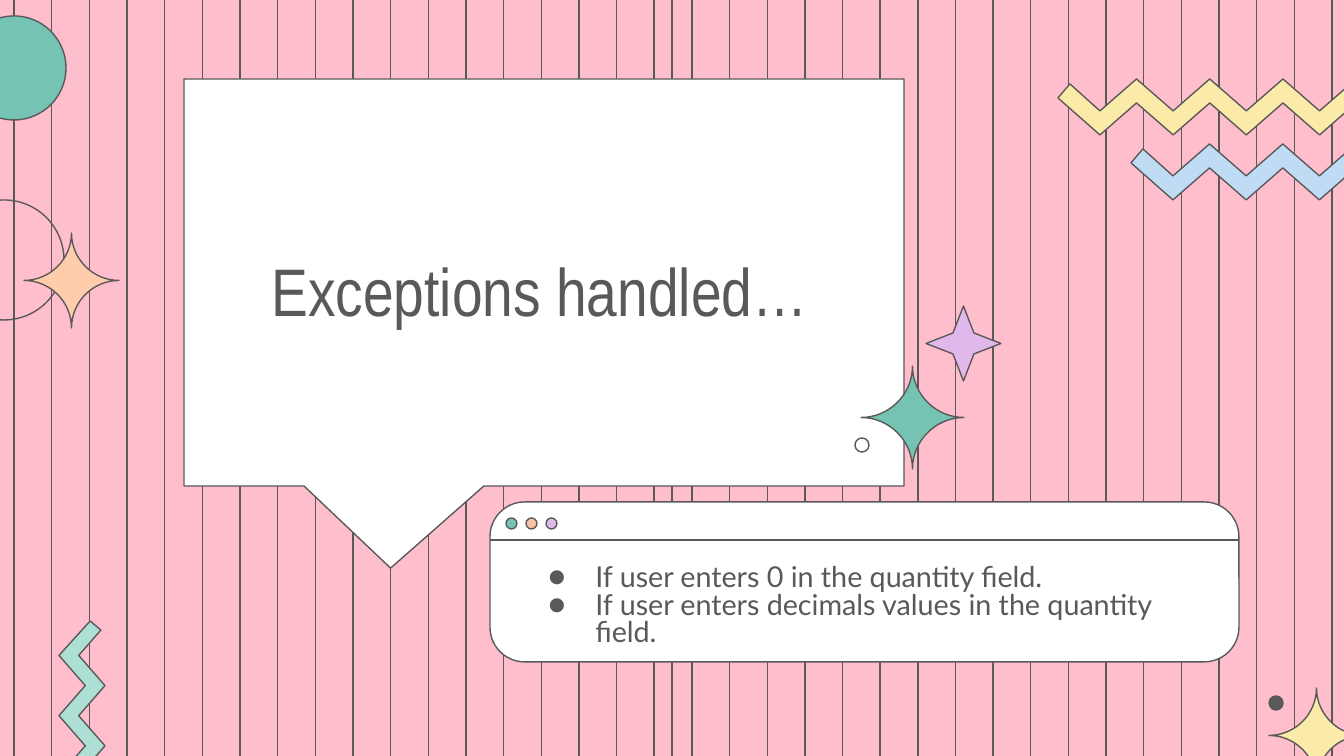
from dataclasses import dataclass

from lxml import etree
from pptx import Presentation
from pptx import util as u
from pptx.dml.color import RGBColor
from pptx.enum import shapes, text
from pptx.oxml.ns import qn

PX = 9144000 / 1344
WIDTH, HEIGHT = 1344, 756
KIND = shapes.MSO_SHAPE


@dataclass(frozen=True)
class Theme:
    """Colours, fonts and type sizes of the deck."""
    pink: str = "FFBECB"
    ink: str = "595959"
    white: str = "FFFFFF"
    teal: str = "74C3B3"
    mint: str = "ADDFD5"
    peach: str = "FFCDAB"
    apricot: str = "F6C4A2"
    yellow: str = "FAEBA8"
    blue: str = "C0DCF5"
    lilac: str = "E1B8EC"
    title_font: str = "Arial Narrow"
    body_font: str = "Lato"
    title_size: float = 36
    body_size: float = 15.4
    outline: float = 0.75


THEME = Theme()


def emu(length):
    """Turn px into EMU."""
    return u.Emu(round(length * PX))


def paint(shape, fill=None):
    """Give a shape its fill, outline and no shadow."""
    shape.shadow.inherit = False
    if fill:
        shape.fill.solid()
        shape.fill.fore_color.rgb = RGBColor.from_string(fill)
    else:
        shape.fill.background()
    shape.line.color.rgb = RGBColor.from_string(THEME.ink)
    shape.line.width = u.Pt(THEME.outline)
    return shape


def add_preset(parent, kind, box, fill=None, adjustments=()):
    """Add a painted preset shape in the box."""
    shape = parent.add_shape(kind, *map(emu, box))
    for index, value in enumerate(adjustments):
        shape.adjustments[index] = value
    return paint(shape, fill)


def add_line(parent, x1, y1, x2, y2):
    """Add a thin straight line."""
    line = parent.add_connector(shapes.MSO_CONNECTOR.STRAIGHT, *map(emu, (x1, y1, x2, y2)))
    line.line.color.rgb = RGBColor.from_string(THEME.ink)
    line.line.width = u.Pt(THEME.outline)
    etree.SubElement(line._element.spPr, qn("a:effectLst"))


def add_outline(parent, points, fill):
    """Add a closed freeform through the points."""
    corners = [(emu(x), emu(y)) for x, y in points]
    builder = parent.build_freeform(*corners[0], scale=1.0)
    builder.add_line_segments(corners[1:], close=True)
    return paint(builder.convert_to_shape(), fill)


def add_zigzag(parent, box, fill, rotation=0):
    """Add a zigzag ribbon of four waves that fills the box."""
    left, top, width, height = box
    turns = [(42 + 36.6 * step, 32 * (step % 2 == 0)) for step in range(8)]
    upper = [(12, 5), *turns, (340, 38)]
    lower = [(0, 19), *((x, y + 24) for x, y in turns), (329, 51)]
    points = [(left + x * width / 340, top + y * height / 56)
              for x, y in upper + lower[::-1]]
    add_outline(parent, points, fill).rotation = rotation


def add_sparkle(parent, left, top, size, fill):
    """Add a four-pointed star with sides curved towards its centre."""
    half = size / 2
    tips = [(left + half, top), (left, top + half),
            (left + half, top + size), (left + size, top + half)]
    shape = add_outline(parent, tips + tips[:1], fill)
    local = [(half, 0), (0, half), (half, size), (size, half), (half, 0)]
    sides = list(shape._element.iter(qn("a:lnTo")))
    for side, start, end in zip(sides, local, local[1:]):
        curve = etree.Element(qn("a:cubicBezTo"))
        pulls = [tuple(c + 0.55 * (half - c) for c in tip) for tip in (start, end)]
        for x, y in (*pulls, end):
            etree.SubElement(curve, qn("a:pt"), x=str(emu(x)), y=str(emu(y)))
        side.getparent().replace(side, curve)


def format_frame(frame, anchor):
    """Set the wrap, anchor and insets of a text frame."""
    formats = {"word_wrap": True, "auto_size": text.MSO_AUTO_SIZE.NONE,
               "vertical_anchor": anchor}
    formats.update({f"margin_{side}": u.Inches(0.1)
                    for side in ("left", "right", "top", "bottom")})
    for name, value in formats.items():
        setattr(frame, name, value)


def add_span(para, words, font, size):
    """Add a run of words in the ink colour."""
    span = para.add_run()
    span.text = words
    for name, value in {"name": font, "size": u.Pt(size), "bold": False}.items():
        setattr(span.font, name, value)
    span.font.color.rgb = RGBColor.from_string(THEME.ink)


def draw_backdrop(page):
    """Draw the striped background."""
    page.background.fill.solid()
    page.background.fill.fore_color.rgb = RGBColor.from_string(THEME.pink)
    stripes = page.shapes.add_group_shape().shapes
    for x in [14 + 37.66 * step for step in range(36)] + [WIDTH / 2]:
        add_line(stripes, x, 0, x, HEIGHT)


def draw_edge_ornaments(page):
    """Draw the ornaments along the left and bottom edges."""
    parent = page.shapes
    add_zigzag(parent, (-58, 738, 280, 46), THEME.mint, 270)
    add_preset(parent, KIND.OVAL, (-56, 200, 120, 120))
    add_preset(parent, KIND.OVAL, (-38, 16, 104, 104), THEME.teal)
    add_sparkle(parent, 24, 233, 95, THEME.peach)
    add_preset(parent, KIND.OVAL, (1269, 696, 14, 14), THEME.ink)
    add_sparkle(parent, 1269, 688, 95, THEME.yellow)


def draw_callout(page, box, title):
    """Draw the speech bubble that holds the title."""
    left, top, width, height = box
    add_preset(page.shapes, KIND.ROUNDED_RECTANGULAR_CALLOUT, box, THEME.white,
               (-0.213, 0.702, 0))
    holder = page.shapes.title
    place = (left + 54, top + 74, width - 117, height - 133)
    for name, value in zip(("left", "top", "width", "height"), place):
        setattr(holder, name, emu(value))
    format_frame(holder.text_frame, text.MSO_ANCHOR.MIDDLE)
    para = holder.text_frame.paragraphs[0]
    para.alignment = text.PP_ALIGN.CENTER
    add_span(para, title, THEME.title_font, THEME.title_size)
    holder._element.getparent().append(holder._element)


def draw_window(page, box, items):
    """Draw the window card with its bulleted list."""
    left, top, width, height = box
    card = page.shapes.add_group_shape().shapes
    add_preset(card, KIND.ROUNDED_RECTANGLE, box, THEME.white, (0.217,))
    add_line(card, left + width, top + 38, left, top + 38)
    for index, fill in enumerate((THEME.teal, THEME.apricot, THEME.lilac)):
        add_preset(card, KIND.OVAL, (left + 16 + 20 * index, top + 16, 11, 11), fill)
    place = (left + 25, top + 50, width - 55, height - 65)
    frame = page.shapes.add_textbox(*map(emu, place)).text_frame
    format_frame(frame, text.MSO_ANCHOR.TOP)
    for index, item in enumerate(items):
        para = frame.add_paragraph() if index else frame.paragraphs[0]
        para.line_spacing = 0.8
        layout = para._p.get_or_add_pPr()
        layout.set("marL", str(u.Inches(0.5)))
        layout.set("indent", str(u.Inches(-0.35)))
        colour = etree.SubElement(layout, qn("a:buClr"))
        etree.SubElement(colour, qn("a:srgbClr"), val=THEME.ink)
        etree.SubElement(layout, qn("a:buFont"), typeface=THEME.body_font)
        etree.SubElement(layout, qn("a:buChar"), char="●")
        add_span(para, item, THEME.body_font, THEME.body_size)


def draw_callout_ornaments(page):
    """Draw the ribbons and stars to the right of the speech bubble."""
    parent = page.shapes
    add_zigzag(parent, (1058, 79, 340, 56), THEME.yellow)
    add_zigzag(parent, (1131, 144, 340, 56), THEME.blue)
    add_sparkle(parent, 861, 366, 103, THEME.teal)
    add_preset(parent, KIND.OVAL, (855, 438, 14, 14))
    add_preset(parent, KIND.STAR_4_POINT, (926, 306, 75, 75), THEME.lilac, (0.198,))


def main():
    """Build and save the deck."""
    deck = Presentation()
    deck.slide_width, deck.slide_height = emu(WIDTH), emu(HEIGHT)
    page = deck.slides.add_slide(deck.slide_layouts[5])
    draw_backdrop(page)
    draw_edge_ornaments(page)
    draw_callout(page, (184, 79, 720, 407), "Exceptions handled…")
    draw_window(page, (490, 502, 749, 160),
                ("If user enters 0 in the quantity field.",
                 "If user enters decimals values in the quantity field."))
    draw_callout_ornaments(page)
    deck.save("out.pptx")


if __name__ == "__main__":
    main()
